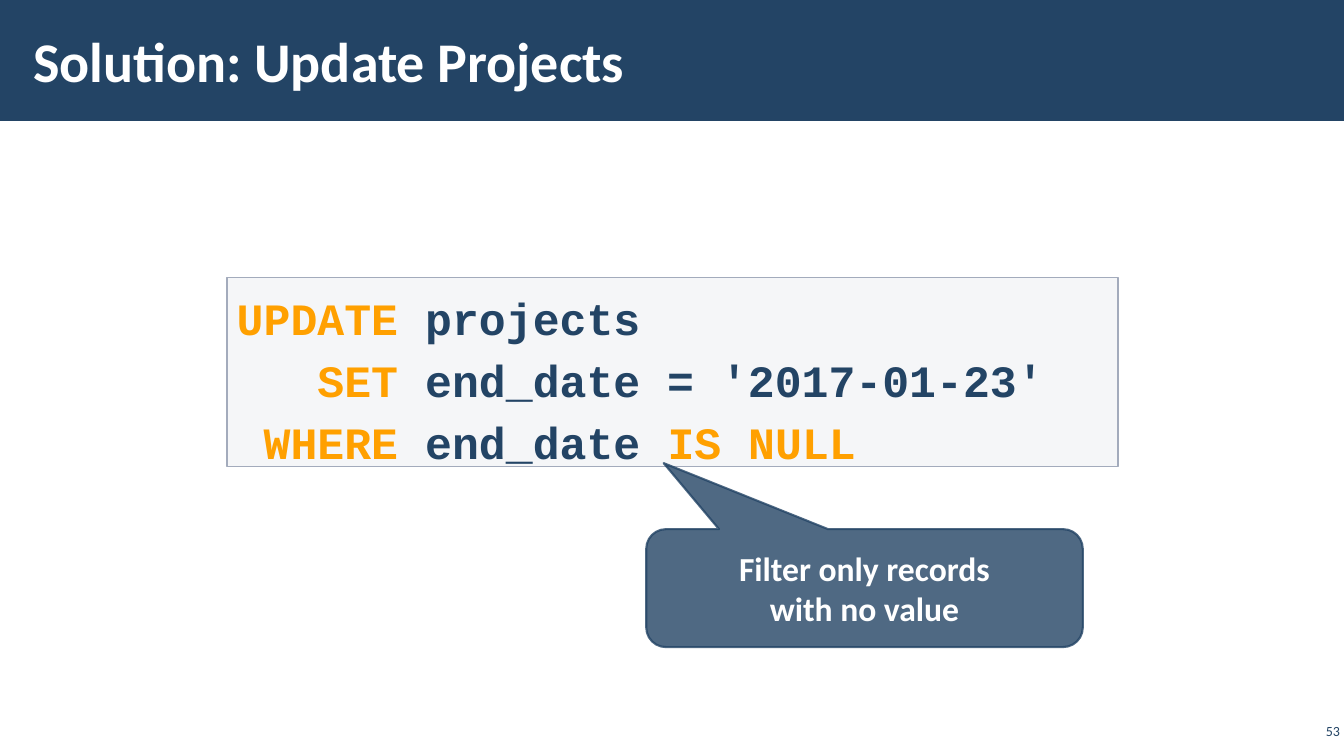
from dataclasses import dataclass

from lxml.etree import SubElement
from pptx import Presentation
from pptx.dml.color import RGBColor
from pptx.enum.shapes import MSO_SHAPE
from pptx.enum.text import MSO_ANCHOR, PP_ALIGN
from pptx.oxml.ns import qn
from pptx.util import Inches, Pt


@dataclass(frozen=True)
class Theme:
    navy: str = "234465"
    white: str = "FFFFFF"
    keyword: str = "FFA000"
    code_fill: str = "C2C7D2"
    code_line: str = "A3ABBC"
    body_font: str = "Calibri"
    code_font: str = "Courier New"
    title_size: int = 40
    code_size: int = 32
    callout_size: int = 24
    number_size: int = 10


THEME = Theme()

QUERY = [
    [("UPDATE ", THEME.keyword), ("projects", THEME.navy)],
    [("   SET ", THEME.keyword), ("end_date = '2017-01-23'", THEME.navy)],
    [(" WHERE ", THEME.keyword), ("end_date ", THEME.navy), ("IS NULL", THEME.keyword)],
]


def set_solid(fill, color, opacity):
    fill.solid()
    fill.fore_color.rgb = RGBColor.from_string(color)
    if opacity < 100:
        for element in fill._xPr.iter(qn("a:srgbClr")):
            SubElement(element, qn("a:alpha"), val=str(opacity * 1000))


def add_panel(slide, kind, box, fill, opacity=100, line=None, line_width=1, line_opacity=100):
    shape = slide.shapes.add_shape(kind, *map(Inches, box))
    shape.shadow.inherit = False
    set_solid(shape.fill, fill, opacity)
    if line:
        shape.line.width = Pt(line_width)
        set_solid(shape.line.fill, line, line_opacity)
    else:
        shape.line.fill.background()
    return shape


def write_text(shape, lines, *, size, font=THEME.body_font, color=THEME.white, bold=True,
               align=PP_ALIGN.LEFT, anchor=MSO_ANCHOR.MIDDLE, space_before=0,
               insets=(0.1, 0.05, 0.1, 0.05)):
    frame = shape.text_frame
    frame.word_wrap = True
    frame.vertical_anchor = anchor
    frame.margin_left, frame.margin_top, frame.margin_right, frame.margin_bottom = map(Inches, insets)
    for index, line in enumerate(lines):
        paragraph = frame.add_paragraph() if index else frame.paragraphs[0]
        paragraph.alignment = align
        if index:
            paragraph.space_before = Pt(space_before)
        for text, run_color in [(line, color)] if isinstance(line, str) else line:
            run = paragraph.add_run()
            run.text = text
            run.font.name = font
            run.font.size = Pt(size)
            run.font.bold = bold
            run.font.color.rgb = RGBColor.from_string(run_color)


def add_label(slide, box, text, **text_format):
    write_text(slide.shapes.add_textbox(*map(Inches, box)), [text], **text_format)


def add_code(slide, box, lines):
    panel = add_panel(slide, MSO_SHAPE.RECTANGLE, box, THEME.code_fill, opacity=15,
                      line=THEME.code_line)
    write_text(panel, lines, size=THEME.code_size, font=THEME.code_font,
               anchor=MSO_ANCHOR.TOP, space_before=6, insets=(0.1, 0.13, 0.1, 0.05))


def add_callout(slide, box, lines, pointer):
    callout = add_panel(slide, MSO_SHAPE.ROUNDED_RECTANGULAR_CALLOUT, box, THEME.navy,
                        opacity=80, line=THEME.navy, line_width=1.5, line_opacity=80)
    callout.adjustments[0], callout.adjustments[1] = pointer
    write_text(callout, lines, size=THEME.callout_size, align=PP_ALIGN.CENTER)


def main():
    presentation = Presentation()
    presentation.slide_width = Inches(13.33)
    presentation.slide_height = Inches(7.5)
    slide = presentation.slides.add_slide(presentation.slide_layouts[6])

    add_panel(slide, MSO_SHAPE.RECTANGLE, (0, 0, 13.33, 1.2), THEME.navy)
    add_label(slide, (0.21, 0.11, 10.39, 0.97), "Solution: Update Projects",
              size=THEME.title_size, insets=(0.12, 0.04, 0.12, 0.04))
    add_label(slide, (12.86, 7.14, 0.47, 0.22), "53", size=THEME.number_size,
              color=THEME.navy, bold=False, align=PP_ALIGN.RIGHT, insets=(0.04,) * 4)
    add_code(slide, (2.25, 2.75, 8.84, 1.88), QUERY)
    add_callout(slide, (6.41, 5.25, 4.33, 1.17),
                ["Filter only records", "with no value"], pointer=(-0.46, -1.06))

    presentation.save("out.pptx")


if __name__ == "__main__":
    main()
